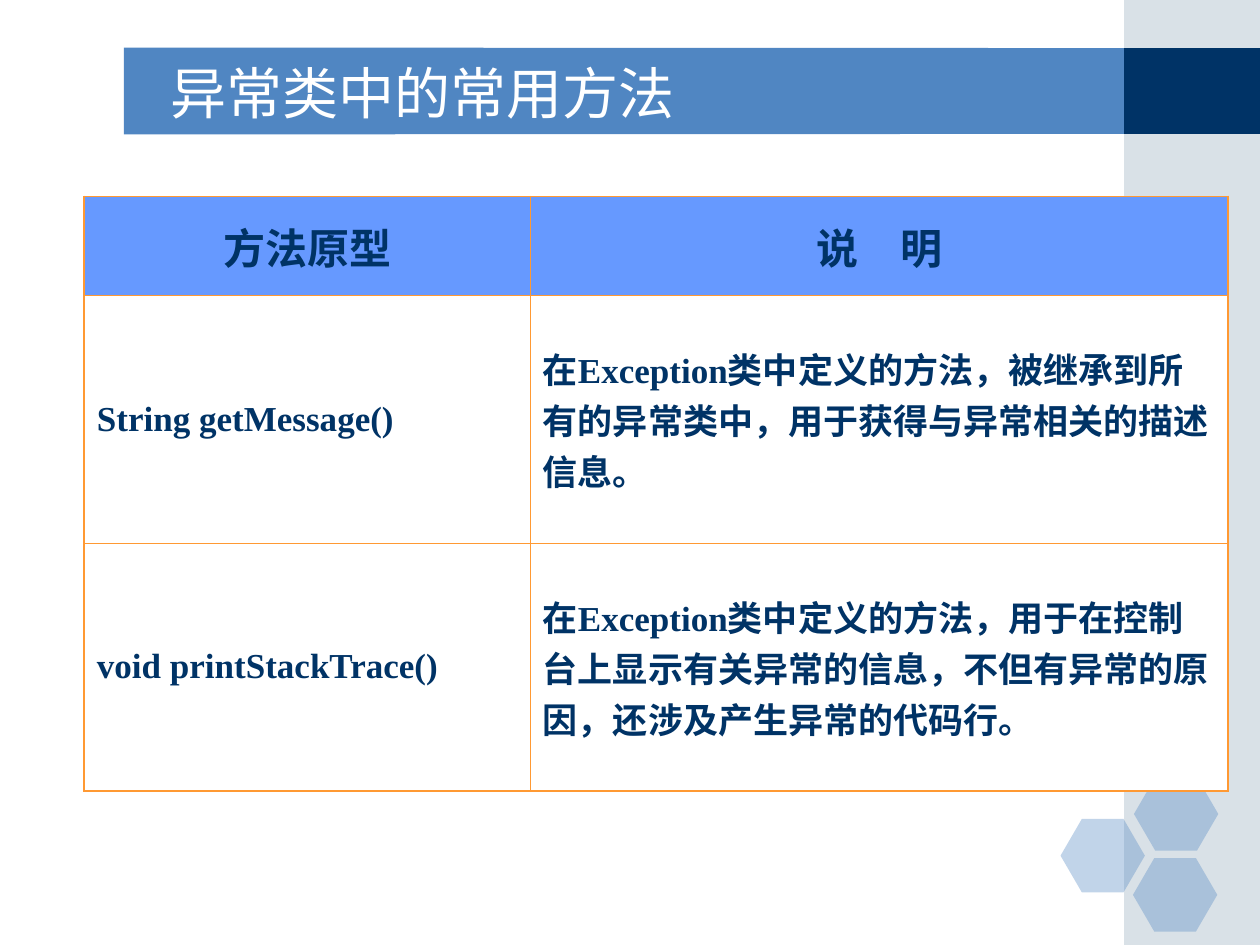
from dataclasses import dataclass

from lxml.etree import SubElement
from pptx import Presentation
from pptx.dml.color import RGBColor
from pptx.enum.shapes import MSO_SHAPE as Preset
from pptx.enum.text import MSO_ANCHOR as Anchor, MSO_AUTO_SIZE as AutoSize, PP_ALIGN as Align
from pptx.oxml import parse_xml
from pptx.oxml.ns import nsdecls, qn
from pptx.util import Cm, Pt

HEADERS = ["方法原型", "说　明"]
METHODS = [
    ["String getMessage()",
     "在Exception类中定义的方法，被继承到所有的异常类中，用于获得与异常相关的描述信息。"],
    ["void printStackTrace()",
     "在Exception类中定义的方法，用于在控制台上显示有关异常的信息，不但有异常的原因，还涉及产生异常的代码行。"],
]


def color(value):
    return RGBColor.from_string(value)


@dataclass
class SlideBuilder:
    """Draws styled elements on the current slide."""

    slide: object
    blue: str = "5086C2"
    navy: str = "003366"
    gray: str = "A0B5C4"
    header: str = "6699FF"
    white: str = "FFFFFF"
    border: str = "FF9933"
    outer: float = 1.08
    inner: float = 0.45

    def paint(self, shape, fill, opacity=100):
        shape.shadow.inherit = False
        shape.fill.solid()
        shape.fill.fore_color.rgb = color(fill)
        shape.line.fill.background()
        if opacity < 100:
            fill_color = shape.element.spPr.find(".//" + qn("a:srgbClr"))
            SubElement(fill_color, qn("a:alpha")).set("val", str(opacity * 1000))

    def outline(self, points, fill):
        start, *others = [(Cm(x), Cm(y)) for x, y in points]
        builder = self.slide.shapes.build_freeform(*start)
        builder.add_line_segments(others, close=True)
        self.paint(builder.convert_to_shape(), fill)

    def rectangle(self, left, top, width, height, fill, opacity=100):
        shape = self.slide.shapes.add_shape(
            Preset.RECTANGLE, Cm(left), Cm(top), Cm(width), Cm(height))
        self.paint(shape, fill, opacity)

    def hexagon(self, left, top):
        shape = self.slide.shapes.add_shape(
            Preset.HEXAGON, Cm(left), Cm(top), Cm(1.7), Cm(1.48))
        shape.adjustments[0] = 0.29
        self.paint(shape, self.blue, 35)

    def title(self, text, left, top, width, height):
        title = self.slide.shapes.title
        title.element.getparent().append(title.element)
        title.left, title.top = Cm(left), Cm(top)
        title.width, title.height = Cm(width), Cm(height)
        frame = title.text_frame
        frame.text = text
        frame.auto_size = AutoSize.NONE
        frame.vertical_anchor = Anchor.MIDDLE
        paragraph = frame.paragraphs[0]
        paragraph.alignment = Align.LEFT
        self.style_font(paragraph.font, "DejaVu Sans", 32, self.white)

    def style_font(self, font, name, size, fill, bold=False):
        font.name, font.size, font.bold = name, Pt(size), bold
        font.color.rgb = color(fill)

    def cell(self, cell, text, is_header, outer_sides):
        cell.text = text
        cell.vertical_anchor = Anchor.MIDDLE
        cell.fill.solid()
        cell.fill.fore_color.rgb = color(self.header if is_header else self.white)
        paragraph = cell.text_frame.paragraphs[0]
        paragraph.alignment = Align.CENTER if is_header else Align.LEFT
        paragraph.space_before = Pt(6 if is_header else 5)
        name, size = ("Courier New", 24) if is_header else ("Times New Roman", 20)
        self.style_font(paragraph.font, name, size, self.navy, bold=True)
        properties = cell._tc.get_or_add_tcPr()
        for index, side in enumerate("LRTB"):
            width = Pt(self.outer if side in outer_sides else self.inner)
            properties.insert(index, parse_xml(
                f'<a:ln{side} {nsdecls("a")} w="{width}"><a:solidFill>'
                f'<a:srgbClr val="{self.border}"/></a:solidFill></a:ln{side}>'))

    def table(self, rows, left, top, widths, heights):
        frame = self.slide.shapes.add_table(
            len(rows), len(widths), Cm(left), Cm(top), Cm(sum(widths)), Cm(sum(heights)))
        table = frame.table
        table.first_row = table.horz_banding = False
        for column, width in zip(table.columns, widths):
            column.width = Cm(width)
        for row, height in zip(table.rows, heights):
            row.height = Cm(height)
        for i, texts in enumerate(rows):
            for j, text in enumerate(texts):
                edges = {"L": j == 0, "R": j == len(widths) - 1,
                         "T": i == 0, "B": i == len(rows) - 1}
                outer_sides = [side for side, on_edge in edges.items() if on_edge]
                self.cell(table.cell(i, j), text, i == 0, outer_sides)


def main():
    presentation = Presentation()
    presentation.slide_width, presentation.slide_height = Cm(25.4), Cm(19.05)
    title_only = presentation.slide_layouts[5]
    builder = SlideBuilder(presentation.slides.add_slide(title_only))

    builder.outline([(2.5, 0.96), (22.73, 0.97), (22.73, 2.7), (2.5, 2.71)], builder.blue)
    builder.rectangle(22.66, 0, 2.74, 19.05, builder.gray, 40)
    builder.rectangle(22.66, 0.97, 2.74, 1.73, builder.navy)
    for left, top in [(21.38, 16.51), (22.86, 15.67), (22.84, 17.3)]:
        builder.hexagon(left, top)
    builder.title("异常类中的常用方法", 3.18, 1.07, 18.62, 1.57)
    builder.table([HEADERS, *METHODS], 1.7, 3.96, [8.99, 14.06], [2, 4.99, 4.99])

    presentation.save("out.pptx")


if __name__ == "__main__":
    main()
